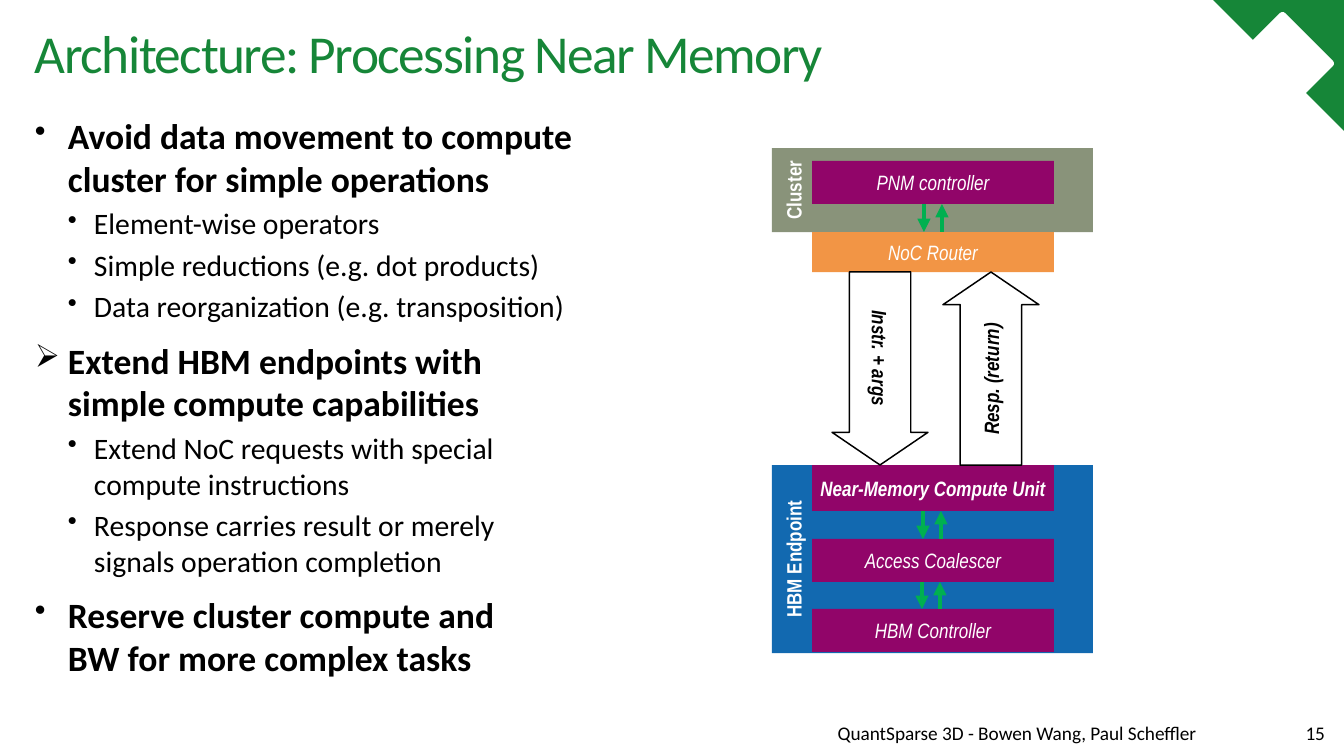
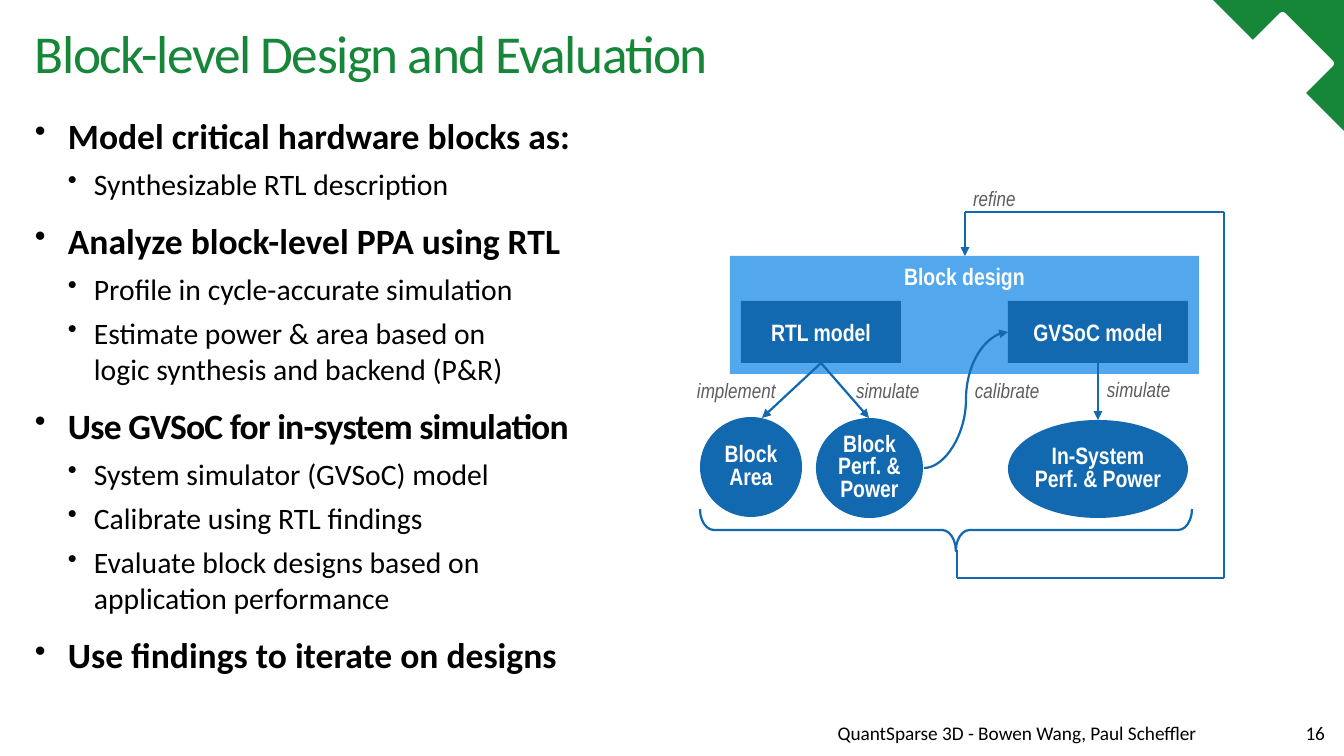
from dataclasses import dataclass
from itertools import pairwise

from lxml import etree
from pptx import Presentation
from pptx.dml.color import RGBColor
from pptx.enum.shapes import MSO_CONNECTOR, MSO_SHAPE
from pptx.enum.text import MSO_ANCHOR, PP_ALIGN
from pptx.oxml.ns import qn
from pptx.util import Emu, Pt

EMU_PER_PX = 8572.5
WIDTH, HEIGHT = 1344, 756

RECT, OVAL = MSO_SHAPE.RECTANGLE, MSO_SHAPE.OVAL
ROUNDED, CORNER = MSO_SHAPE.ROUNDED_RECTANGLE, MSO_SHAPE.RIGHT_TRIANGLE
BLOCK_ARROW, BRACE = MSO_SHAPE.RIGHT_ARROW, MSO_SHAPE.RIGHT_BRACE
STRAIGHT, CURVE = MSO_CONNECTOR.STRAIGHT, MSO_CONNECTOR.CURVE
TOP, MIDDLE, BOTTOM = MSO_ANCHOR.TOP, MSO_ANCHOR.MIDDLE, MSO_ANCHOR.BOTTOM
LEFT, CENTER, RIGHT = PP_ALIGN.LEFT, PP_ALIGN.CENTER, PP_ALIGN.RIGHT

BODY_FONT, DIAGRAM_FONT = "Calibri", "Arial Narrow"
WHITE, BLACK, GREY = "FFFFFF", "000000", "5D5D5D"
THEME_GREEN, ARROW_GREEN = "168638", "00B050"
BLUE, LIGHT_BLUE = "1269B0", "53A8ED"
PURPLE, ORANGE, OLIVE = "910569", "F29545", "89937A"
FOOTER = "QuantSparse 3D - Bowen Wang, Paul Scheffler"


def px(length):
    return Emu(round(length * EMU_PER_PX))


def rgb(color):
    return RGBColor.from_string(color)


@dataclass
class Point:
    text: str
    level: int = 0
    bullet: str = "•"
    tracking: float = 0


class Deck:
    def __init__(self):
        self.presentation = Presentation()
        self.presentation.slide_width = px(WIDTH)
        self.presentation.slide_height = px(HEIGHT)
        self.slide = None

    def new_slide(self, title, number):
        self.slide = self.presentation.slides.add_slide(
            self.presentation.slide_layouts[6])
        self.shape(CORNER, 1213, 0, 131, 131, THEME_GREEN, rotation=180)
        for left, top, side in ((1222, 42, 42), (1245, 26, 75)):
            self.shape(ROUNDED, left, top, side, side, WHITE, rotation=45,
                       adjustments=(0.05,))
        self.text(35, 20, 1175, 73, title, size=36, color=THEME_GREEN,
                  font=BODY_FONT, anchor=MIDDLE, line_spacing=0.9, tracking=-1)
        for left, width, note in ((409, 798, FOOTER), (1273, 63, str(number))):
            self.text(left, 716, width, 33, note, size=13, color=BLACK,
                      font=BODY_FONT, align=RIGHT, anchor=BOTTOM,
                      margins=(11, 5, 11, 5))

    def frame(self, shape, anchor, margins):
        frame = shape.text_frame
        frame.word_wrap = True
        frame.vertical_anchor = anchor
        (frame.margin_left, frame.margin_top,
         frame.margin_right, frame.margin_bottom) = map(px, margins)
        return frame

    def format_runs(self, paragraph, size, color, font, bold=False,
                    italic=False, tracking=0):
        for run in paragraph.runs:
            run.font.size = Pt(size)
            run.font.name = font
            run.font.bold = bold
            run.font.italic = italic
            run.font.color.rgb = rgb(color)
            if tracking:
                run.font._element.set("spc", str(round(tracking * 100)))

    def caption(self, shape, text, align=LEFT, anchor=TOP,
                margins=(0, 0, 0, 0), line_spacing=None, **style):
        paragraph = self.frame(shape, anchor, margins).paragraphs[0]
        paragraph.text = text
        paragraph.alignment = align
        paragraph.line_spacing = line_spacing
        self.format_runs(paragraph, **style)

    def text(self, left, top, width, height, text, **style):
        box = self.slide.shapes.add_textbox(*map(px, (left, top, width, height)))
        self.caption(box, text, **style)

    def shape(self, kind, left, top, width, height, fill=None, line=None,
              line_width=1, rotation=0, adjustments=()):
        """Place a shape by its bounds as seen after any quarter turn."""
        if rotation in (90, 270):
            left += (width - height) / 2
            top += (height - width) / 2
            width, height = height, width
        shape = self.slide.shapes.add_shape(
            kind, *map(px, (left, top, width, height)))
        shape.shadow.inherit = False
        shape.rotation = rotation
        for index, value in enumerate(adjustments):
            shape.adjustments[index] = value
        if fill:
            shape.fill.solid()
            shape.fill.fore_color.rgb = rgb(fill)
        else:
            shape.fill.background()
        if line:
            shape.line.color.rgb = rgb(line)
            shape.line.width = Pt(line_width)
        else:
            shape.line.fill.background()
        return shape

    def block(self, bounds, fill, text, kind=RECT, size=14, color=WHITE,
              bold=True, italic=False, anchor=MIDDLE, margins=(0, 0, 0, 0),
              line_spacing=None, **look):
        """A diagram shape with a centred caption."""
        shape = self.shape(kind, *bounds, fill, **look)
        self.caption(shape, text, CENTER, anchor, margins, line_spacing,
                     size=size, color=color, font=DIAGRAM_FONT, bold=bold,
                     italic=italic)

    def edge_label(self, left, top, text):
        self.text(left, top, 90, 29, text, size=14, color=GREY,
                  font=DIAGRAM_FONT, italic=True)

    def connect(self, start, end, color=BLUE, width=1.5, kind=STRAIGHT,
                arrow=True):
        connector = self.slide.shapes.add_connector(
            kind, *map(px, (*start, *end)))
        connector.line.color.rgb = rgb(color)
        connector.line.width = Pt(width)
        if arrow:
            line = connector.line._get_or_add_ln()
            etree.SubElement(line, qn("a:tailEnd"), type="triangle")
        etree.SubElement(connector._element.spPr, qn("a:effectLst"))

    def bullets(self, width, points, gaps):
        """Fill the text column; gaps is the space before each level."""
        box = self.slide.shapes.add_textbox(*map(px, (35, 109, width, 609)))
        frame = self.frame(box, TOP, (0, 5, 0, 5))
        for index, point in enumerate(points):
            paragraph = frame.add_paragraph() if index else frame.paragraphs[0]
            paragraph.text = point.text
            paragraph.level = point.level
            paragraph.space_before = Pt(gaps[point.level] if index else 0)
            indent, hang = ((33, 33), (59, 26))[point.level]
            properties = paragraph._p.get_or_add_pPr()
            properties.set("marL", str(px(indent)))
            properties.set("indent", str(-px(hang)))
            etree.SubElement(properties, qn("a:buSzPct"), val="90000")
            etree.SubElement(properties, qn("a:buChar"), char=point.bullet)
            self.format_runs(paragraph, (24, 20)[point.level], BLACK, BODY_FONT,
                             bold=point.level == 0, tracking=point.tracking)


def near_memory_slide(deck):
    deck.new_slide("Architecture: Processing Near Memory", 15)
    deck.bullets(558, [
        Point("Avoid data movement to compute cluster for simple operations"),
        Point("Element-wise operators", 1),
        Point("Simple reductions (e.g. dot products)", 1),
        Point("Data reorganization (e.g. transposition)", 1),
        Point("Extend HBM endpoints with\vsimple compute capabilities",
              bullet="➢"),
        Point("Extend NoC requests with special\vcompute instructions", 1),
        Point("Response carries result or merely\vsignals operation completion",
              1),
        Point("Reserve cluster compute and\vBW for more complex tasks"),
    ], gaps=(10, 4))

    for top, height, fill, name in ((148, 84, OLIVE, "Cluster"),
                                    (465, 188, BLUE, "HBM Endpoint")):
        deck.block((772, top, 321, height), fill, name, rotation=270,
                   anchor=TOP, margins=(0, 9, 0, 0))
    for top, height, fill, name, bold in (
            (161, 43, PURPLE, "PNM controller", False),
            (232, 40, ORANGE, "NoC Router", False),
            (465, 46, PURPLE, "Near-Memory Compute Unit", True),
            (539, 43, PURPLE, "Access Coalescer", False),
            (609, 43, PURPLE, "HBM Controller", False)):
        deck.block((812, top, 242, height), fill, name, bold=bold, italic=True)
    for x, top, bottom in ((924, 204, 232), (923, 511, 539), (922, 582, 609)):
        deck.connect((x, top), (x, bottom), ARROW_GREEN, 3)
        deck.connect((x + 18, bottom), (x + 18, top), ARROW_GREEN, 3)
    for left, rotation, name in ((832, 90, "Instr. + args"),
                                 (943, 270, "Resp. (return)")):
        deck.block((left, 272, 96, 193), WHITE, name, BLOCK_ARROW, color=BLACK,
                   italic=True, line=BLACK, rotation=rotation,
                   adjustments=(0.64, 0.34))


def evaluation_slide(deck):
    deck.new_slide("Block-level Design and Evaluation", 16)
    deck.bullets(587, [
        Point("Model critical hardware blocks as:"),
        Point("Synthesizable RTL description", 1),
        Point("Analyze block-level PPA using RTL"),
        Point("Profile in cycle-accurate simulation", 1),
        Point("Estimate power & area based on\vlogic synthesis and backend (P&R)",
              1),
        Point("Use GVSoC for in-system simulation", tracking=-0.5),
        Point("System simulator (GVSoC) model", 1),
        Point("Calibrate using RTL findings", 1),
        Point("Evaluate block designs based on\vapplication performance", 1),
        Point("Use findings to iterate on designs"),
    ], gaps=(12, 6))

    deck.block((730, 256, 469, 118), LIGHT_BLUE, "Block design", size=16,
               anchor=TOP, margins=(0, 6, 0, 0))
    for left, width, name in ((741, 160, "RTL model"),
                              (1008, 180, "GVSoC model")):
        deck.block((left, 301, width, 62), BLUE, name, size=16)
    for left, top, width, height, result in (
            (700, 417, 102, 100, "Block\vArea"),
            (816, 418, 107, 100, "Block\vPerf. &\vPower"),
            (1008, 420, 180, 98, "In-System\vPerf. & Power")):
        deck.block((left, top, width, height), BLUE, result, OVAL, size=16,
                   line_spacing=0.8)

    for start, end in (((821, 363), (762, 418)), ((821, 363), (869, 418)),
                       ((1098, 363), (1098, 420))):
        deck.connect(start, end)
    deck.connect((924, 468), (1008, 332), kind=CURVE)

    deck.shape(BRACE, 700, 509, 492, 42, line=BLUE, line_width=1.5, rotation=90,
               adjustments=(0.33, 0.48))
    refine_loop = [(957, 550), (957, 578), (1224, 578), (1224, 212),
                   (965, 212), (965, 256)]
    for start, end in pairwise(refine_loop):
        deck.connect(start, end, arrow=end == refine_loop[-1])

    for left, top, step in ((973, 186, "refine"), (697, 378, "implement"),
                            (856, 378, "simulate"), (975, 378, "calibrate"),
                            (1107, 377, "simulate")):
        deck.edge_label(left, top, step)


def main():
    deck = Deck()
    near_memory_slide(deck)
    evaluation_slide(deck)
    deck.presentation.save("out.pptx")


if __name__ == "__main__":
    main()
